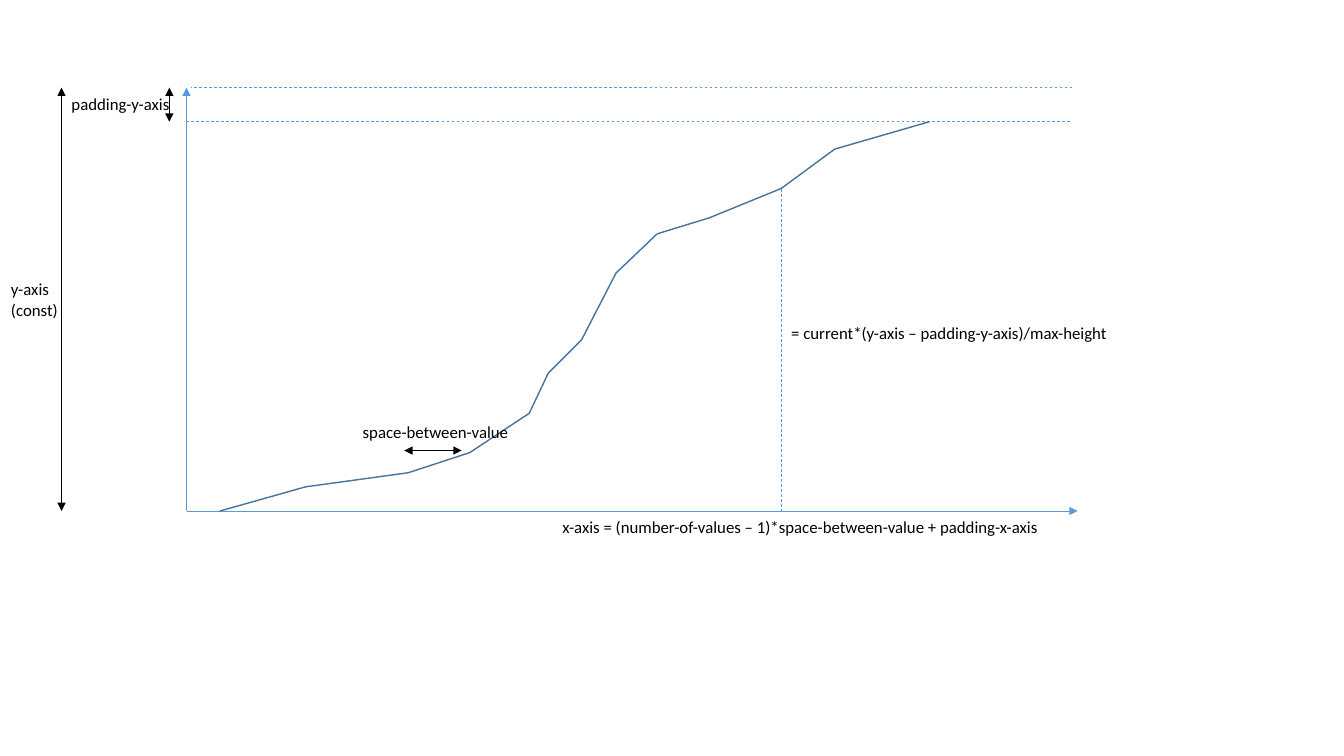
"""Build a slide that explains how a line chart is scaled to its axes."""
from lxml.etree import SubElement
from pptx import Presentation
from pptx.dml.color import RGBColor
from pptx.enum.dml import MSO_LINE_DASH_STYLE as DASH
from pptx.enum.shapes import MSO_CONNECTOR
from pptx.enum.text import MSO_AUTO_SIZE
from pptx.oxml.ns import qn
from pptx.util import Inches, Pt

BLUE = RGBColor(0x5B, 0x9B, 0xD5)
DARK_BLUE = RGBColor(0x43, 0x73, 0x9E)
BLACK = RGBColor(0, 0, 0)

prs = Presentation()
prs.slide_width, prs.slide_height = Inches(13.33), Inches(7.5)
s = prs.slides.add_slide(prs.slide_layouts[6])
COL, ROW = prs.slide_width / 100, prs.slide_height / 100

LEFT, RIGHT = 13.88, 80.18
TOP, PEAK, BASE = 11.6, 16.1, 67.6
HEIGHT_X, SPAN_X, PAD_X = 58.13, 4.58, 12.6
SPACE_Y = 59.6


def add_line(x1, y1, x2, y2, color, dash=None, ends=()):
    c = s.shapes.add_connector(MSO_CONNECTOR.STRAIGHT, int(x1 * COL), int(y1 * ROW),
                               int(x2 * COL), int(y2 * ROW))
    c.line.color.rgb = color
    c.line.width = Pt(0.5)
    if dash:
        c.line.dash_style = dash
    ln = c.line._get_or_add_ln()
    for end in ends:
        SubElement(ln, qn(f"a:{end}"), type="triangle")
    SubElement(c._element.spPr, qn("a:effectLst"))


axes = [(LEFT, BASE, LEFT, TOP), (LEFT, BASE, RIGHT, BASE)]
guides = [
    (HEIGHT_X, 25, HEIGHT_X, BASE),
    (79.58, PEAK, LEFT, PEAK),
    (79.8, TOP, 14.18, TOP),
]
measures = [
    (SPAN_X, TOP, SPAN_X, BASE),
    (PAD_X, TOP, PAD_X, PEAK),
    (34.35, SPACE_Y, 30.08, SPACE_Y),
]
for ends in axes:
    add_line(*ends, BLUE, ends=["tailEnd"])
for ends in guides:
    add_line(*ends, BLUE, dash=DASH.DASH)
for ends in measures:
    add_line(*ends, BLACK, ends=["headEnd", "tailEnd"])

curve = [
    (16.35, BASE), (22.73, 64.4), (30.38, 62.53), (34.95, 59.87), (39.38, 54.67),
    (40.8, 49.33), (43.28, 44.93), (45.83, 36.13), (48.9, 30.93), (52.8, 28.8),
    (HEIGHT_X, 24.93), (62.1, 19.73), (69.15, PEAK),
]
points = [(int(x * COL), int(y * ROW)) for x, y in curve]
fb = s.shapes.build_freeform(*points[0])
fb.add_line_segments(points[1:], close=False)
sp = fb.convert_to_shape()
sp.shadow.inherit = False
sp.fill.background()
sp.line.color.rgb = DARK_BLUE
sp.line.width = Pt(1)

labels = [
    ("y-axis (const)", 0.08, 36.27, 6.98, 6.67, True),
    ("x-axis = (number-of-values – 1)*space-between-value + padding-x-axis",
     41.1, 67.73, 38.18, 4, False),
    ("= current*(y-axis – padding-y-axis)/max-height", HEIGHT_X, 42, 25.28, 4, False),
    ("padding-y-axis", SPAN_X, 11.73, 9.38, 4, True),
    ("space-between-value", 26.25, 55.07, 13.65, 4, True),
]
for text, x, y, w, h, wrap in labels:
    sp = s.shapes.add_textbox(int(x * COL), int(y * ROW), int(w * COL), int(h * ROW))
    tf = sp.text_frame
    tf.word_wrap = wrap
    tf.auto_size = MSO_AUTO_SIZE.SHAPE_TO_FIT_TEXT
    tf.text = text
    r = tf.paragraphs[0].runs[0]
    r.font.name = "Calibri"
    r.font.size = Pt(12)
    r.font.color.rgb = BLACK

prs.save("out.pptx")
